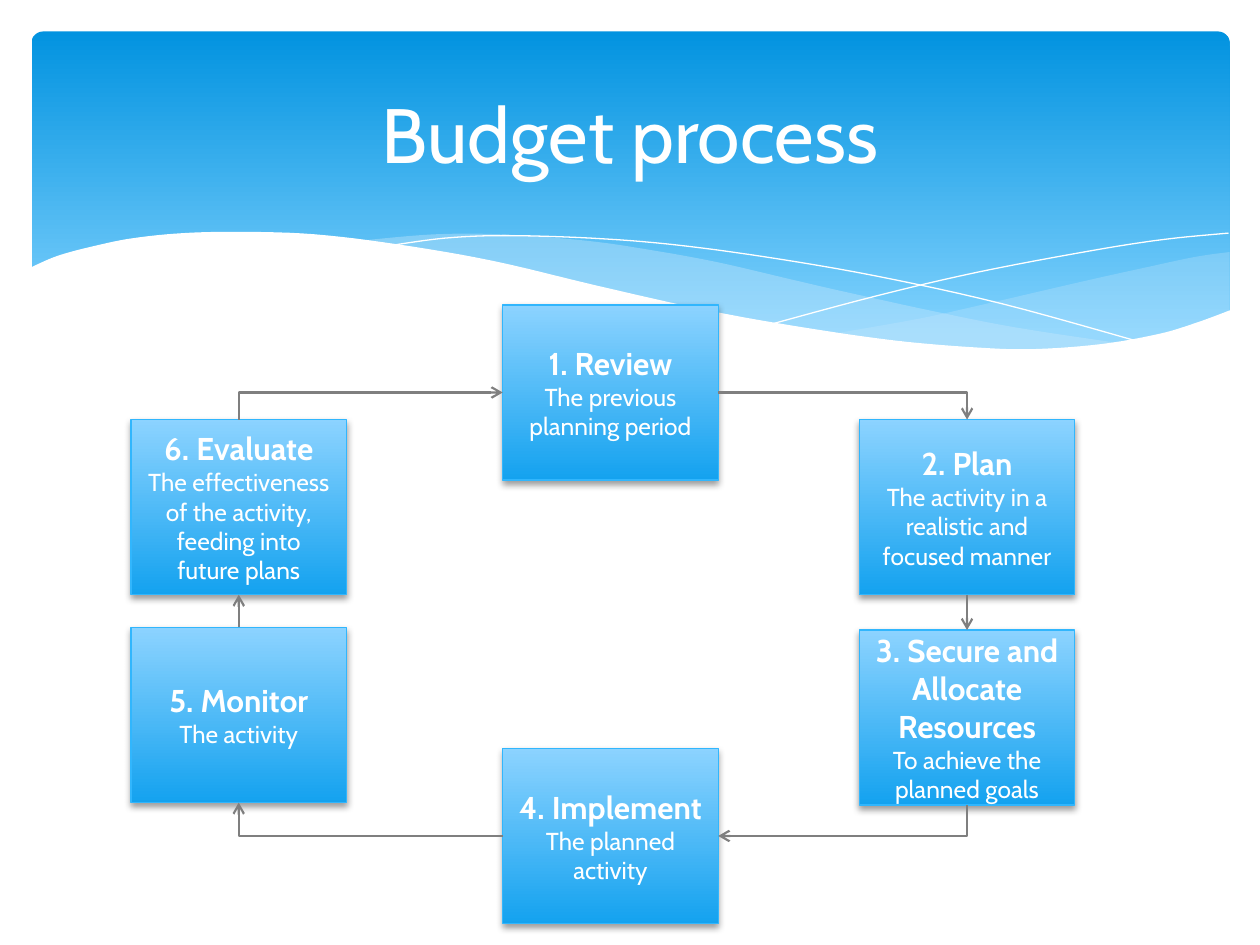
import lxml.etree
import pptx
import pptx.dml.color
import pptx.enum.shapes
import pptx.enum.text
import pptx.oxml.ns
import pptx.util

tint = pptx.dml.color.RGBColor.from_string
qn = pptx.oxml.ns.qn
node = lxml.etree.SubElement
kinds = pptx.enum.shapes.MSO_SHAPE
joins = pptx.enum.shapes.MSO_CONNECTOR
middle = pptx.enum.text.MSO_ANCHOR.MIDDLE
center = pptx.enum.text.PP_ALIGN.CENTER


def blend(shape, stops):
    shape.fill.gradient()
    shape.fill.gradient_angle = 270
    for stop, (place, color) in zip(shape.fill.gradient_stops, stops):
        stop.position = place
        stop.color.rgb = tint(color)


def curve(knots, steps=6):
    ends = [knots[0], *knots, knots[-1]]
    dots = []
    for a, b, c, d in zip(ends, ends[1:], ends[2:], ends[3:]):
        for step in range(steps):
            t = step / steps
            dots.append(tuple(
                q + t * (r - p) / 2
                + t**2 * (2 * p - 5 * q + 4 * r - s) / 2
                + t**3 * (3 * q - p - 3 * r + s) / 2
                for p, q, r, s in zip(a, b, c, d)))
    return dots + [knots[-1]]


deck = pptx.Presentation()
deck.slide_width = pptx.util.Inches(10)
deck.slide_height = pptx.util.Inches(7.5)
cell = deck.slide_width / 100
slide = deck.slides.add_slide(deck.slide_layouts[5])
shapes = slide.shapes

band = shapes.add_shape(
    kinds.ROUNDED_RECTANGLE, *[int(n * cell) for n in (2.5, 2.5, 95.1, 27)])
band.adjustments[0] = 0.034
band.shadow.inherit = False
band.line.fill.background()
blend(band, [(0, "0293E0"), (0.9, "83D3FE")])

right = curve([(97.6, 20), (94.8, 20.4), (90.6, 21.3), (86.1, 22.3),
               (77.9, 24.2), (72.9, 25.3), (66.1, 26.5)])
right += curve([(66.1, 26.5), (71.9, 27.1), (76.9, 27.7), (81.4, 27.8),
                (86.3, 27.6), (90.5, 26.9), (94.2, 25.9), (97.6, 24.7)])
long = curve([(89.3, 27.3), (80.7, 26), (74.1, 24.7), (66.8, 23.1),
              (62.9, 22.2), (56.9, 20.8), (51.4, 19.8), (46.5, 19.1),
              (39.9, 18.6), (34.4, 18.6), (28.6, 19.1)])
long += curve([(28.6, 19.1), (34.2, 19.9), (40.4, 21.1), (44.9, 22.2),
               (53, 24), (60.1, 25.5), (66.5, 26.6), (72.2, 27.4),
               (77.3, 27.7), (81.8, 27.8), (85.7, 27.7), (89.3, 27.3)])
fall = curve([(30.9, 19.5), (35.3, 18.9), (40.1, 18.7), (46.9, 18.9),
              (53.3, 19.4), (60.8, 20.4), (69.5, 21.9), (79.5, 24.1),
              (90.7, 27.2)])
rise = curve([(61.3, 25.7), (69.5, 23.5), (77.6, 21.6), (86.6, 19.9),
              (92.4, 19), (97.5, 18.5)])
base = curve([(2.3, 21.3), (4.6, 20.3), (7.6, 19.5), (10.6, 18.9),
              (14.6, 18.5), (19.3, 18.4), (25, 18.6), (31.6, 19.4),
              (39.1, 20.7), (47.5, 22.7), (55.5, 24.5), (62.6, 25.8),
              (70.8, 27), (77.8, 27.6), (82.3, 27.7), (87.5, 27.3),
              (92, 26.5), (95, 25.6), (97.7, 24.6)])
base += [(97.7, 32.9), (2.3, 32.9)]

for dots, color, alpha in [(right, "C6E7FC", 29), (long, "C6E7FC", 40),
                           (fall, None, 0), (rise, None, 0),
                           (base, "FFFFFF", 100)]:
    dots = [(x * cell, y * cell) for x, y in dots]
    pen = shapes.build_freeform(*dots[0])
    pen.add_line_segments(dots[1:], close=color is not None)
    wave = pen.convert_to_shape()
    wave.shadow.inherit = False
    if color:
        wave.line.fill.background()
        wave.fill.solid()
        wave.fill.fore_color.rgb = tint(color)
        shade = wave._element.spPr.find(".//" + qn("a:srgbClr"))
        node(shade, qn("a:alpha"), val=str(alpha * 1000))
    else:
        wave.fill.background()
        wave.line.color.rgb = tint("FFFFFF")
        wave.line.width = 0

title = shapes.title
for name, n in dict(left=5, top=3.7, width=90, height=13.7).items():
    setattr(title, name, int(n * cell))
title.text_frame.text = "Budget process"
title.text_frame.vertical_anchor = middle
head = title.text_frame.paragraphs[0]
head.alignment = center
for name, value in dict(name="Cabin", size=pptx.util.Pt(44)).items():
    setattr(head.font, name, value)
head.font.color.rgb = tint("FFFFFF")
shapes._spTree.append(title._element)

steps = [
    (39.9, 24.2, "1. Review", "The previous planning period"),
    (68.2, 33.3, "2. Plan", "The activity in a realistic and focused manner"),
    (68.2, 50, "3. Secure and Allocate Resources",
     "To achieve the planned goals"),
    (39.9, 59.4, "4. Implement", "The planned activity"),
    (10.4, 49.8, "5. Monitor", "The activity"),
    (10.4, 33.3, "6. Evaluate",
     "The effectiveness of the activity, feeding into future plans"),
]
looks = [dict(name="Cabin", size=pptx.util.Pt(18), bold=True),
         dict(name="Cabin", size=pptx.util.Pt(14), bold=False)]
boxes = []
for x, y, *words in steps:
    box = shapes.add_shape(
        kinds.RECTANGLE, *[int(n * cell) for n in (x, y, 17.1, 13.9)])
    blend(box, [(0, "8CD3FF"), (1, "14A2EF")])
    box.line.color.rgb = tint("31B6FD")
    box.line.width = pptx.util.Pt(0.75)
    box.shadow.inherit = False
    glow = node(box._element.spPr.find(qn("a:effectLst")), qn("a:outerShdw"),
                blurRad="50800", dist="25400", dir="5400000", rotWithShape="0")
    dark = node(glow, qn("a:srgbClr"), val="000000")
    node(dark, qn("a:alpha"), val="38000")
    frame = box.text_frame
    frame.word_wrap = True
    frame.vertical_anchor = middle
    frame.text = "\n".join(words)
    for para, look in zip(frame.paragraphs, looks):
        para.alignment = center
        for name, value in look.items():
            setattr(para.font, name, value)
        para.font.color.rgb = tint("FFFFFF")
    boxes.append(box)

top, left, bottom, side = range(4)
links = [(side, top, 0), (bottom, top, None), (bottom, side, 90),
         (left, bottom, 0), (top, bottom, None), (top, left, 270)]
for i, (start, end, turn) in enumerate(links):
    bent = turn is not None
    link = shapes.add_connector(
        joins.ELBOW if bent else joins.STRAIGHT, 0, 0, 0, 0)
    link.begin_connect(boxes[i], start)
    link.end_connect(boxes[(i + 1) % len(boxes)], end)
    link.line.color.rgb = tint("7F7F7F")
    link.line.width = pptx.util.Pt(1.25)
    props = link._element.spPr
    node(props.find(qn("a:ln")), qn("a:tailEnd"), type="arrow")
    node(props, qn("a:effectLst"))
    if bent:
        props.find(qn("a:prstGeom")).set("prst", "bentConnector2")
    if turn:
        wide, high = link.width, link.height
        link.left += (wide - high) // 2
        link.top += (high - wide) // 2
        link.width, link.height = high, wide
        form = props.find(qn("a:xfrm"))
        for flip in ("flipH", "flipV"):
            form.attrib.pop(flip, None)
        form.set("rot", str(turn * 60000))

deck.save("out.pptx")
